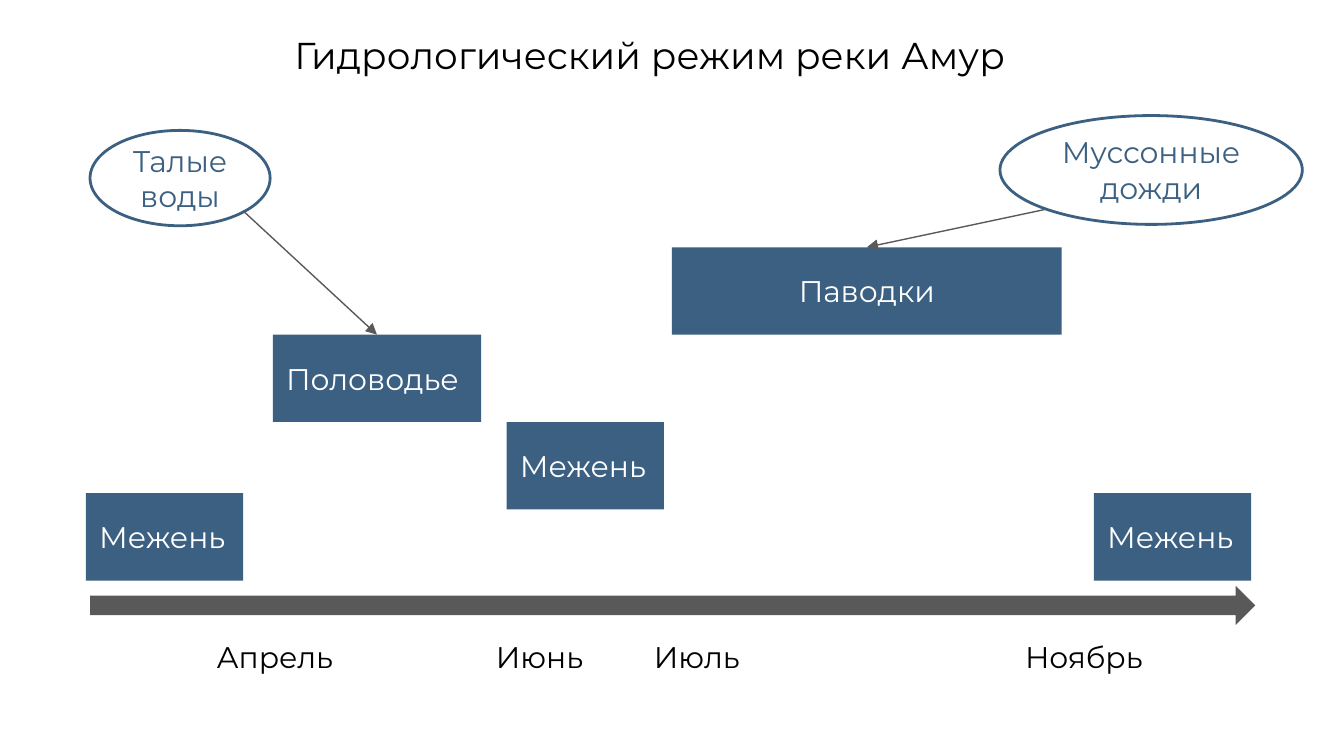
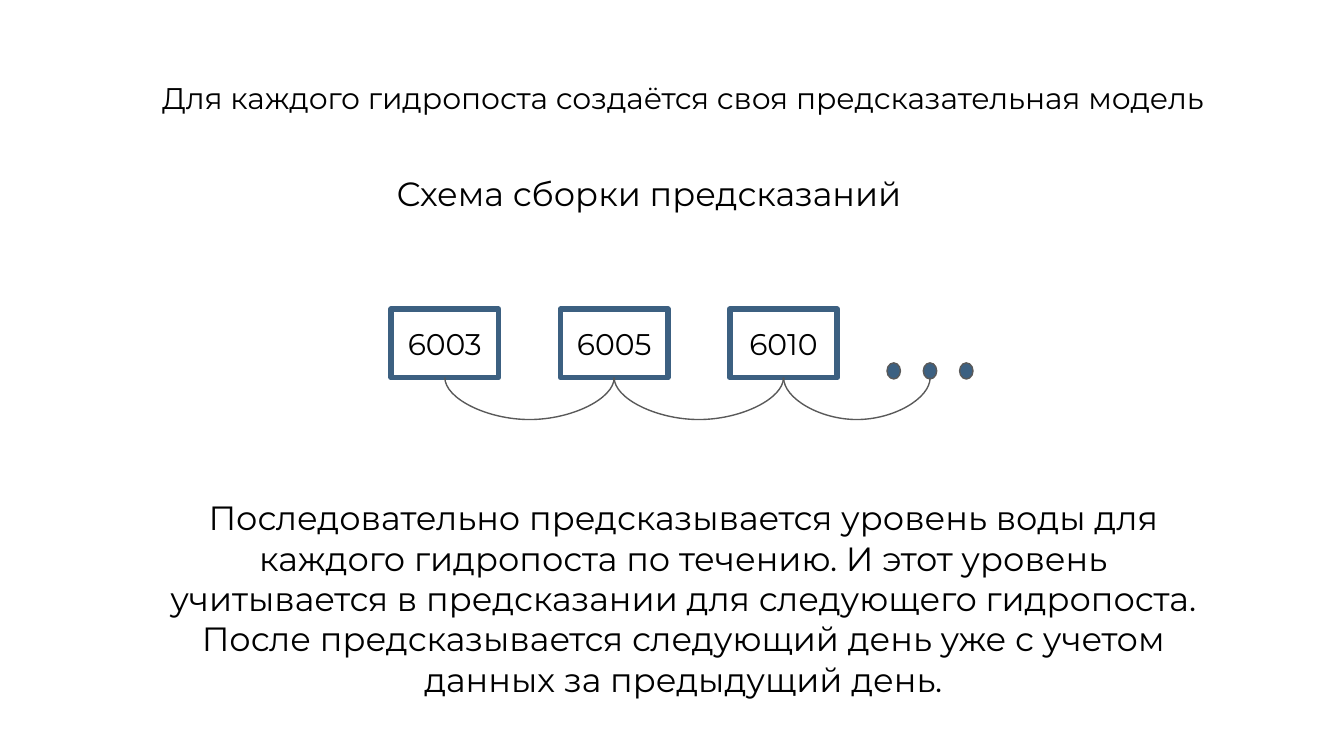
from lxml import etree
from pptx import Presentation
from pptx.dml.color import RGBColor
from pptx.enum.shapes import MSO_CONNECTOR, MSO_SHAPE
from pptx.enum.text import MSO_ANCHOR, MSO_AUTO_SIZE, PP_ALIGN
from pptx.oxml.ns import qn
from pptx.util import Emu, Inches, Pt

LEFT, CENTER = PP_ALIGN.LEFT, PP_ALIGN.CENTER
TOP, MIDDLE = MSO_ANCHOR.TOP, MSO_ANCHOR.MIDDLE
RECTANGLE, ELLIPSE, ARROW = MSO_SHAPE.RECTANGLE, MSO_SHAPE.OVAL, MSO_SHAPE.RIGHT_ARROW
DOT = MSO_SHAPE.FLOWCHART_CONNECTOR
STRAIGHT, CURVE = MSO_CONNECTOR.STRAIGHT, MSO_CONNECTOR.CURVE

SLIDE_WIDTH = Inches(10)
SLIDE_HEIGHT = SLIDE_WIDTH * 9 // 16
BLUE = RGBColor(0x3C, 0x60, 0x81)
GRAY = RGBColor(0x59, 0x59, 0x59)
WHITE = RGBColor(0xFF, 0xFF, 0xFF)
BLACK = RGBColor(0, 0, 0)
FONT = "Montserrat"
TITLE_ONLY = 5
SITE_TOP, SITE_BOTTOM, DOT_SITE_BOTTOM = 0, 2, 4

# Slide 1: the river's year
REGIME_TITLE = "Гидрологический режим реки Амур"
PHASE_HEIGHT = 0.65
PHASES = [  # text, left, top, width, alignment
    ("Межень", 0.64, 3.67, 1.17, LEFT),
    ("Половодье", 2.03, 2.49, 1.55, LEFT),
    ("Межень", 3.77, 3.14, 1.17, LEFT),
    ("Паводки", 5, 1.84, 2.9, CENTER),
    ("Межень", 8.14, 3.67, 1.17, LEFT),
]
MONTHS = [("Апрель", 1.46, 1.17), ("Июнь", 3.58, 0.87),
          ("Июль", 4.75, 0.87), ("Ноябрь", 7.48, 1.17)]  # text, left, width
CAUSES = [  # text, ellipse box, arrow start, index of the phase it feeds
    ("Талые воды", (0.67, 0.97, 1.34, 0.71), (1.81, 1.57), 1),
    ("Муссонные дожди", (7.44, 0.86, 2.25, 0.81), (7.77, 1.56), 3),
]

# Slide 2: the chain of gauging stations
MODEL_TITLE = "Для каждого гидропоста создаётся своя предсказательная модель"
SCHEME_HEADING = "Схема сборки предсказаний"
EXPLANATION = [
    "Последовательно предсказывается уровень воды для каждого гидропоста по течению. "
    "И этот уровень учитывается в предсказании для следующего гидропоста.",
    "После предсказывается следующий день уже с учетом данных за предыдущий день.",
]
STATIONS = ["6003", "6005", "6010"]
STATION_LEFT, STATION_TOP, STATION_STEP = 2.91, 2.3, 1.26
DOT_LEFT, DOT_TOP, DOT_STEP, DOT_COUNT = 6.6, 2.7, 0.27, 3
SAG_WIDTH, SAG_ADJUSTMENT = Emu(600), 39687500  # a flat curve that sags 0.26 inch


def write(shape, paragraphs, size=16, color=BLACK, align=CENTER, anchor=MIDDLE):
    frame = shape.text_frame
    frame.word_wrap = True
    frame.auto_size = MSO_AUTO_SIZE.NONE
    frame.vertical_anchor = anchor
    frame.margin_left = frame.margin_right = Inches(0.1)
    frame.margin_top = frame.margin_bottom = Inches(0.1)
    frame.text = "\n".join(paragraphs)
    for paragraph in frame.paragraphs:
        paragraph.alignment = align
        font = paragraph.runs[0].font
        font.name, font.size, font.color.rgb = FONT, Pt(size), color


def add_box(slide, kind, box, fill=None, line=None, line_width=0.75):
    shape = slide.shapes.add_shape(kind, *map(Inches, box))
    shape.shadow.inherit = False
    if fill is None:
        shape.fill.background()
    else:
        shape.fill.solid()
        shape.fill.fore_color.rgb = fill
    if line is None:
        shape.line.fill.background()
    else:
        shape.line.color.rgb = line
        shape.line.width = Pt(line_width)
    return shape


def add_label(slide, box, paragraphs, **text_format):
    write(slide.shapes.add_textbox(*map(Inches, box)), paragraphs, **text_format)


def add_titled_slide(presentation, text, box, **text_format):
    slide = presentation.slides.add_slide(presentation.slide_layouts[TITLE_ONLY])
    title = slide.shapes.title
    title.left, title.top, title.width, title.height = map(Inches, box)
    write(title, [text], **text_format)
    return slide


def add_line(slide, kind, begin, end):
    connector = slide.shapes.add_connector(kind, *begin, *end)
    connector.line.color.rgb = GRAY
    connector.line.width = Pt(0.75)
    etree.SubElement(connector._element.spPr, qn("a:effectLst"))
    return connector


def add_arrow(slide, begin, target):
    end = (target.left + target.width // 2, target.top)
    connector = add_line(slide, STRAIGHT, begin, end)
    connector.end_connect(target, SITE_TOP)
    outline = connector._element.spPr.find(qn("a:ln"))
    etree.SubElement(outline, qn("a:tailEnd"), type="triangle")


def add_sagging_link(slide, source, target, target_site):
    """Join two undersides with a curve: a flat connector turned a quarter."""
    begin_x, end_x = (shape.left + shape.width // 2 for shape in (source, target))
    y = source.top + source.height
    span = end_x - begin_x
    connector = add_line(slide, CURVE, (begin_x, y), (end_x, y))
    connector.begin_connect(source, SITE_BOTTOM)
    connector.end_connect(target, SITE_BOTTOM)
    element = connector._element
    element.find(".//" + qn("a:endCxn")).set("idx", str(target_site))
    connector.left = (begin_x + end_x - SAG_WIDTH) // 2
    connector.top = y - span // 2
    connector.width, connector.height = SAG_WIDTH, span
    transform = element.spPr.find(qn("a:xfrm"))
    transform.attrib.pop("flipV", None)
    transform.set("rot", "16200000")
    transform.set("flipH", "1")
    guides = element.spPr.find(qn("a:prstGeom")).find(qn("a:avLst"))
    etree.SubElement(guides, qn("a:gd"), name="adj1", fmla=f"val {SAG_ADJUSTMENT}")


def build_regime_slide(presentation):
    slide = add_titled_slide(presentation, REGIME_TITLE, (0.5, 0.14, 8.67, 0.65),
                             size=20, anchor=TOP)
    phases = []
    for text, left, top, width, align in PHASES:
        phase = add_box(slide, RECTANGLE, (left, top, width, PHASE_HEIGHT), fill=BLUE)
        write(phase, [text], color=WHITE, align=align)
        phases.append(phase)
    add_box(slide, ARROW, (0.67, 4.36, 8.67, 0.29), fill=GRAY)
    for text, left, width in MONTHS:
        add_label(slide, (left, 4.68, width, 0.41), [text])
    for text, box, arrow_start, phase_index in CAUSES:
        cause = add_box(slide, ELLIPSE, box, line=BLUE, line_width=1.5)
        write(cause, [text], color=BLUE)
        add_arrow(slide, map(Inches, arrow_start), phases[phase_index])


def build_model_slide(presentation):
    slide = add_titled_slide(presentation, MODEL_TITLE, (0.51, 0.34, 9.15, 0.77))
    add_label(slide, (2.38, 1.15, 4.9, 0.57), [SCHEME_HEADING], size=18)
    add_label(slide, (1.14, 3.6, 7.89, 1.74), EXPLANATION, size=18, anchor=TOP)
    stations = []
    for index, number in enumerate(STATIONS):
        box = (STATION_LEFT + index * STATION_STEP, STATION_TOP, 0.8, 0.51)
        station = add_box(slide, RECTANGLE, box, line=BLUE, line_width=3)
        write(station, [number])
        stations.append(station)
    dots = [add_box(slide, DOT, (DOT_LEFT + index * DOT_STEP, DOT_TOP, 0.1, 0.12),
                    fill=BLUE, line=GRAY) for index in range(DOT_COUNT)]
    for source, target in zip(stations, stations[1:]):
        add_sagging_link(slide, source, target, SITE_BOTTOM)
    add_sagging_link(slide, stations[-1], dots[1], DOT_SITE_BOTTOM)


def main():
    presentation = Presentation()
    presentation.slide_width, presentation.slide_height = SLIDE_WIDTH, SLIDE_HEIGHT
    build_regime_slide(presentation)
    build_model_slide(presentation)
    presentation.save("out.pptx")


if __name__ == "__main__":
    main()
